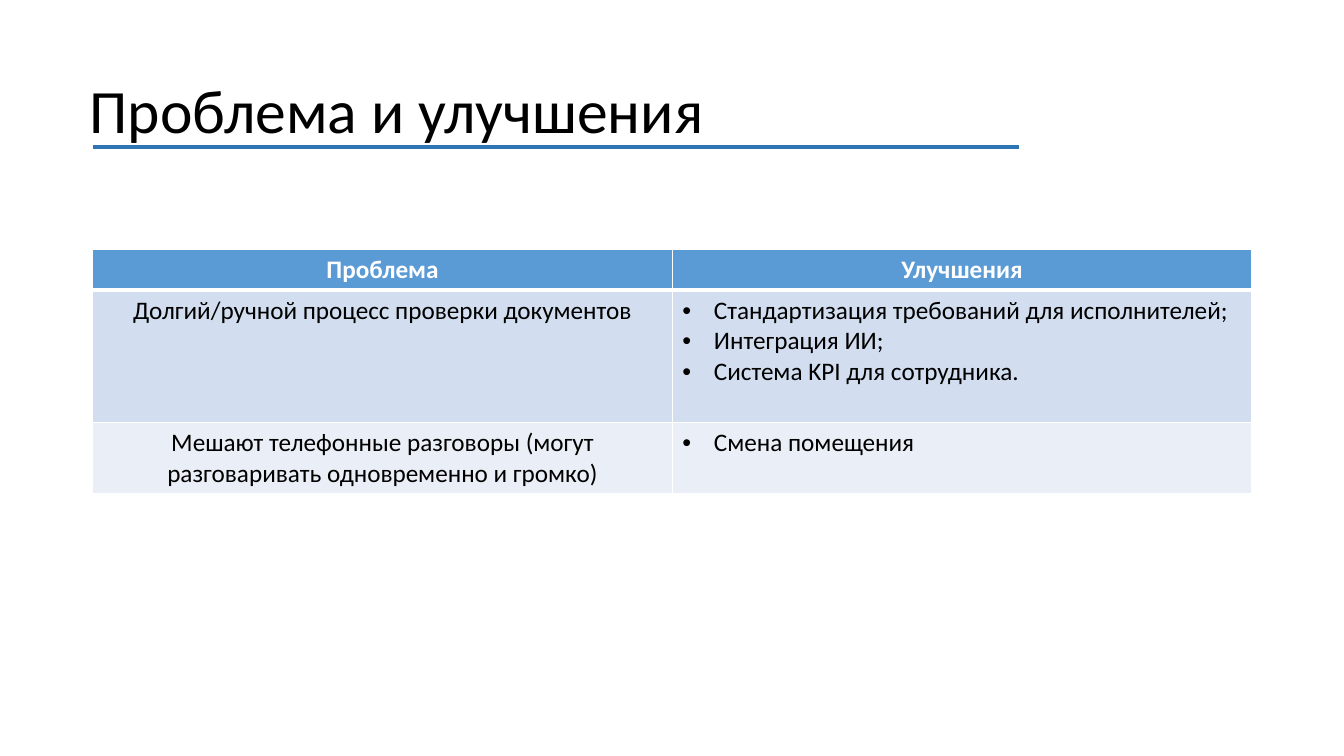
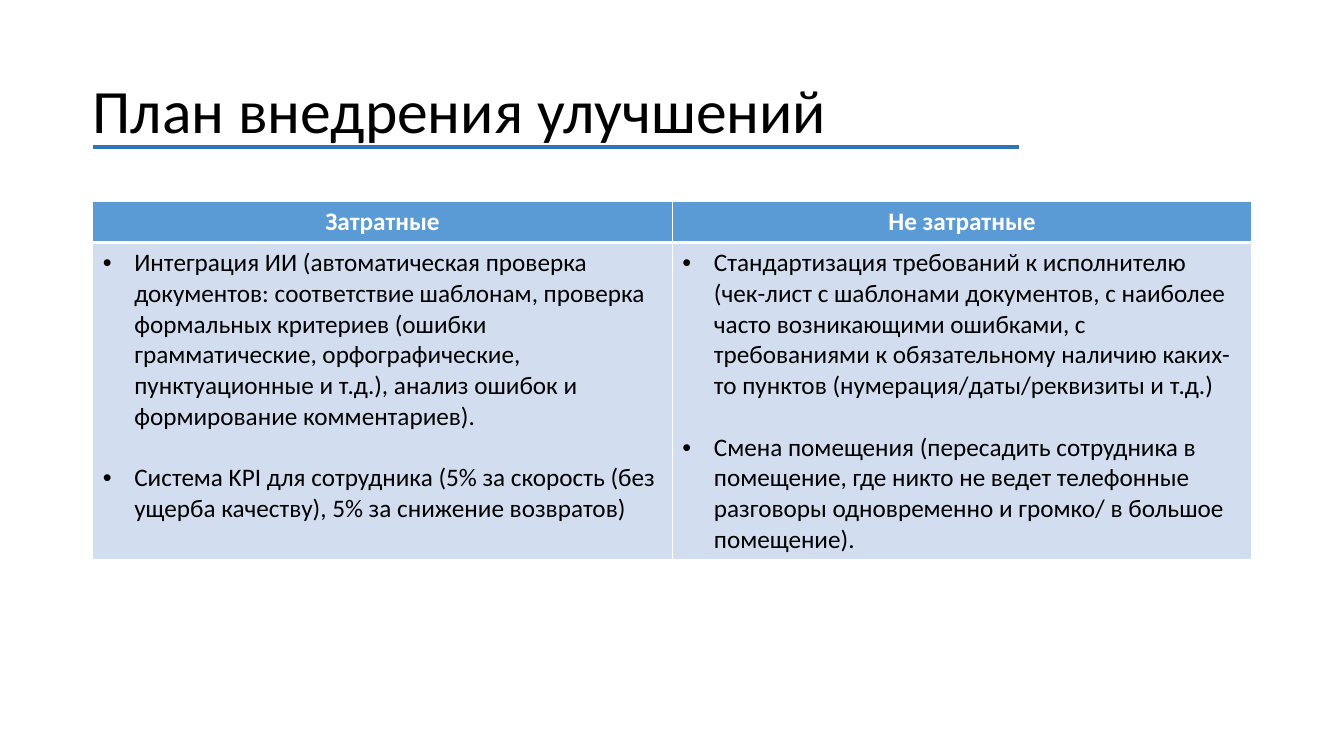
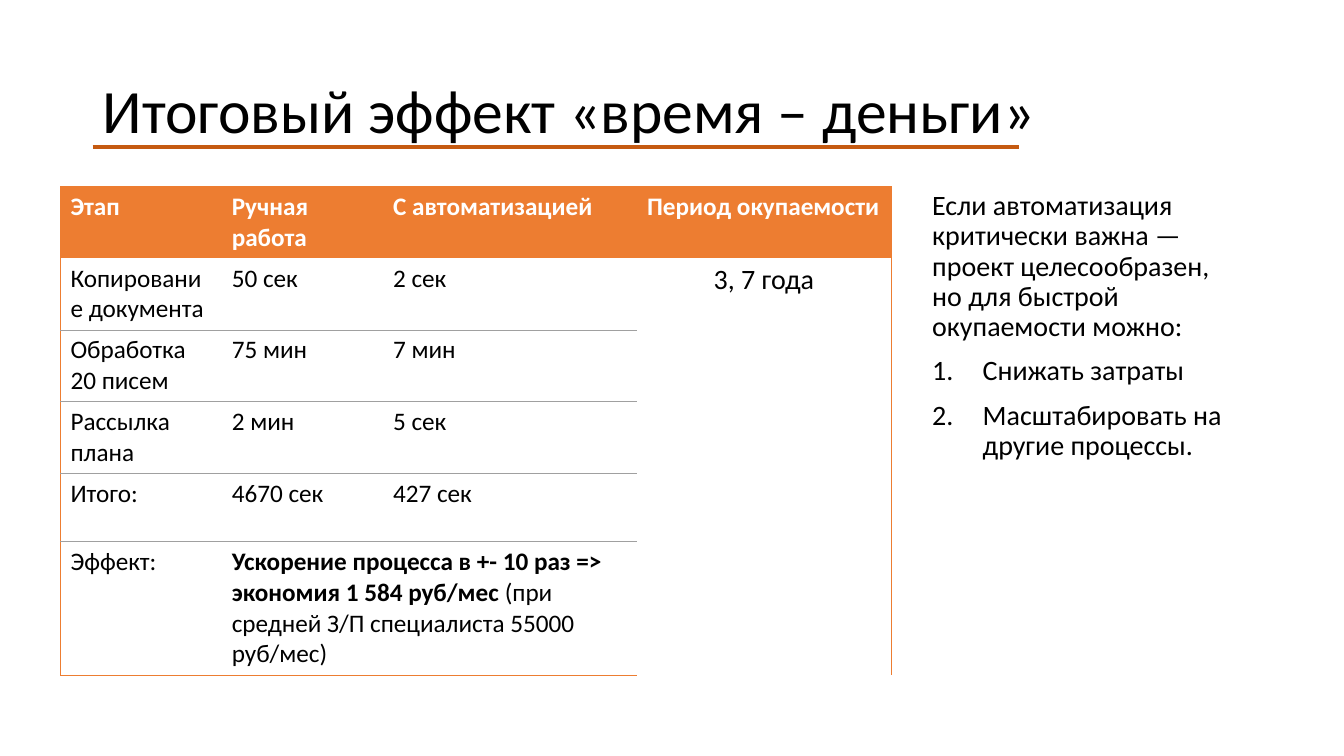
"""Builds three slides on process problems, improvements and their effect."""
from lxml.etree import SubElement
from pptx import Presentation
from pptx.dml.color import RGBColor
from pptx.enum.shapes import MSO_CONNECTOR as Connector
from pptx.enum.text import MSO_ANCHOR as Anchor, PP_ALIGN as Align
from pptx.oxml.ns import qn
from pptx.util import Pt

COLORS = {
    "text": "000000", "white": "FFFFFF",
    "blue": "5B9BD5", "blue_rule": "2E75B6", "band_dark": "D2DEEF", "band_light": "EAEFF7",
    "orange": "ED7D31", "orange_rule": "C55A11", "grid": "A0A0A0",
}
FONT = "Calibri"
PLAIN_TABLE = "{2D5ABB26-0587-4C30-8999-92F81FD0307C}"
LEFT, TABLE_WIDTH = 66.25, 828

BANDED_SLIDES = [
    {
        "title": "Проблема и улучшения", "title_left": 57, "top": 178,
        "heights": [29.2, 94.4, 51.2], "bullet_columns": [1], "gap": 0,
        "header": ["Проблема", "Улучшения"],
        "body": [
            [["Долгий/ручной процесс проверки документов"],
             ["Стандартизация требований для исполнителей;", "Интеграция ИИ;",
              "Система KPI для сотрудника."]],
            [["Мешают телефонные разговоры (могут разговаривать одновременно и громко)"],
             ["Смена помещения"]],
        ],
    },
    {
        "title": "План внедрения улучшений", "title_left": 59, "top": 144,
        "heights": [29.2, 226.8], "bullet_columns": [0, 1], "gap": 22,
        "header": ["Затратные", "Не затратные"],
        "body": [
            [["Интеграция ИИ (автоматическая проверка документов: соответствие шаблонам, "
              "проверка формальных критериев (ошибки грамматические, орфографические, "
              "пунктуационные и т.д.), анализ ошибок и формирование комментариев).",
              "Система KPI для сотрудника (5% за скорость (без ущерба качеству), "
              "5% за снижение возвратов)"],
             ["Стандартизация требований к исполнителю (чек-лист с шаблонами документов, "
              "с наиболее часто возникающими ошибками, с требованиями к обязательному "
              "наличию каких-то пунктов (нумерация/даты/реквизиты и т.д.)",
              "Смена помещения (пересадить сотрудника в помещение, где никто не ведет "
              "телефонные разговоры одновременно и громко/ в большое помещение)."]],
        ],
    },
]

EFFECT_TITLE = "Итоговый эффект «время – деньги»"
EFFECT_ROWS = [
    ["Этап", "Ручная работа", "С автоматизацией", "Период окупаемости"],
    ["Копирование документа", "50 сек", "2 сек", "3, 7 года"],
    ["Обработка 20 писем", "75 мин", "7 мин"],
    ["Рассылка плана", "2 мин", "5 сек"],
    ["Итого:", "4670 сек", "427 сек"],
    ["Эффект:", [("Ускорение процесса в +- 10 раз => экономия 1 584 руб/мес ", True),
                 ("(при средней З/П специалиста 55000 руб/мес)", False)]],
]
EFFECT_WIDTHS = [115.2, 115.2, 181.4, 181.4]
EFFECT_HEIGHTS = [51.2, 51.2, 51.2, 51.2, 48.8, 95.6]
CONCLUSION = [
    "Если автоматизация критически важна — проект целесообразен, "
    "но для быстрой окупаемости можно:",
    "Снижать затраты",
    "Масштабировать на другие процессы.",
]


def rgb(name):
    return RGBColor.from_string(COLORS[name])


def write(frame, paragraphs, *, size=18, color="text", bold=False, align=Align.LEFT,
          spacing=None, gap=0, marker=None, indent=22.5, first_marked=0):
    frame.word_wrap = True
    for index, content in enumerate(paragraphs):
        paragraph = frame.paragraphs[0] if index == 0 else frame.add_paragraph()
        if marker and index >= first_marked:
            properties = paragraph._p.get_or_add_pPr()
            properties.set("marL", str(Pt(indent)))
            properties.set("indent", str(-Pt(indent)))
            if marker == "number":
                SubElement(properties, qn("a:buAutoNum"), type="arabicPeriod")
            else:
                SubElement(properties, qn("a:buFont"), typeface="Arial")
                SubElement(properties, qn("a:buChar"), char=marker)
        paragraph.alignment = align
        if spacing:
            paragraph.line_spacing = spacing
        if index and gap:
            paragraph.space_before = Pt(gap)
        runs = [(content, bold)] if isinstance(content, str) else content
        for text, run_bold in runs:
            run = paragraph.add_run()
            run.text = text
            run.font.name, run.font.size, run.font.bold = FONT, Pt(size), run_bold
            run.font.color.rgb = rgb(color)


def add_text(slide, left, top, width, height, paragraphs, anchor=Anchor.TOP, **style):
    frame = slide.shapes.add_textbox(Pt(left), Pt(top), Pt(width), Pt(height)).text_frame
    write(frame, paragraphs, **style)
    frame.vertical_anchor = anchor


def start_slide(presentation, title, title_left, rule_color):
    slide = presentation.slides.add_slide(presentation.slide_layouts[6])
    add_text(slide, title_left, 28.8, TABLE_WIDTH, 104.4, [title], Anchor.MIDDLE,
             size=44, spacing=0.9)
    rule = slide.shapes.add_connector(Connector.STRAIGHT, Pt(LEFT), Pt(105), Pt(728), Pt(105))
    rule.line.color.rgb = rgb(rule_color)
    rule.line.width = Pt(2.25)
    SubElement(rule._element.spPr, qn("a:effectLst"))
    return slide


def add_table(slide, left, top, widths, heights):
    table = slide.shapes.add_table(len(heights), len(widths), Pt(left), Pt(top),
                                   Pt(sum(widths)), Pt(sum(heights))).table
    table.first_row = table.horz_banding = False
    table._tbl.tblPr.find(qn("a:tableStyleId")).text = PLAIN_TABLE
    for column, width in zip(table.columns, widths):
        column.width = Pt(width)
    for row, height in zip(table.rows, heights):
        row.height = Pt(height)
    return table


def style_cell(cell, fill, borders):
    properties = cell._tc.get_or_add_tcPr()
    for side in "LRTB":
        color, width = borders.get(side, (None, 0))
        line = SubElement(properties, qn(f"a:ln{side}"), w=str(Pt(width)))
        if color:
            solid = SubElement(line, qn("a:solidFill"))
            SubElement(solid, qn("a:srgbClr"), val=COLORS[color])
        else:
            SubElement(line, qn("a:noFill"))
    if fill:
        cell.fill.solid()
        cell.fill.fore_color.rgb = rgb(fill)
    else:
        cell.fill.background()


def build_banded(presentation, data):
    slide = start_slide(presentation, data["title"], data["title_left"], "blue_rule")
    table = add_table(slide, LEFT, data["top"], [TABLE_WIDTH / 2] * 2, data["heights"])
    rows = [[[label] for label in data["header"]]] + data["body"]
    fills = ["blue", "band_dark", "band_light"]
    for row, contents in enumerate(rows):
        for column, paragraphs in enumerate(contents):
            borders = dict.fromkeys("LRTB", ("white", 1))
            if row < 2:
                borders["TB"[row == 0]] = ("white", 3 if row == 0 or row == 1 else 1)
            cell = table.cell(row, column)
            style_cell(cell, fills[row], borders)
            if row == 0:
                write(cell.text_frame, paragraphs, color="white", bold=True, align=Align.CENTER)
            elif column in data["bullet_columns"]:
                write(cell.text_frame, paragraphs, marker="•", gap=data["gap"])
            else:
                write(cell.text_frame, paragraphs, align=Align.CENTER)


def effect_borders(row, column):
    outline, grid = ("orange", 0.5), ("grid", 0.5)
    last_row, last_column = len(EFFECT_HEIGHTS) - 1, len(EFFECT_WIDTHS) - 1
    borders = {}
    if column < last_column and row > 1:
        borders["T"] = grid
    if column < last_column and 0 < row < last_row:
        borders["B"] = grid
    if row == 0:
        borders["T"] = outline
    if row == last_row:
        borders["B"] = outline
    if column == 0:
        borders["L"] = outline
    if column == last_column:
        borders["R"] = outline
    return borders


def build_effect(presentation):
    slide = start_slide(presentation, EFFECT_TITLE, LEFT, "orange_rule")
    table = add_table(slide, 43.2, 133.2, EFFECT_WIDTHS, EFFECT_HEIGHTS)
    for row in range(len(EFFECT_HEIGHTS)):
        for column in range(len(EFFECT_WIDTHS)):
            style_cell(table.cell(row, column), None if row else "orange",
                       effect_borders(row, column))
    table.cell(1, 3).merge(table.cell(5, 3))
    table.cell(5, 1).merge(table.cell(5, 2))
    for row, contents in enumerate(EFFECT_ROWS):
        for column, content in enumerate(contents):
            style = {}
            if row == 0:
                style = {"color": "white", "bold": True}
            elif column == 3:
                style = {"size": 20, "align": Align.CENTER}
            write(table.cell(row, column).text_frame, [content], **style)
    add_text(slide, 658.8, 133.2, 221.8, 342.7, CONCLUSION, size=20, spacing=0.9, gap=10,
             marker="number", indent=36, first_marked=1)


def main():
    presentation = Presentation()
    presentation.slide_width, presentation.slide_height = Pt(960), Pt(540)
    for data in BANDED_SLIDES:
        build_banded(presentation, data)
    build_effect(presentation)
    presentation.save("out.pptx")


if __name__ == "__main__":
    main()
